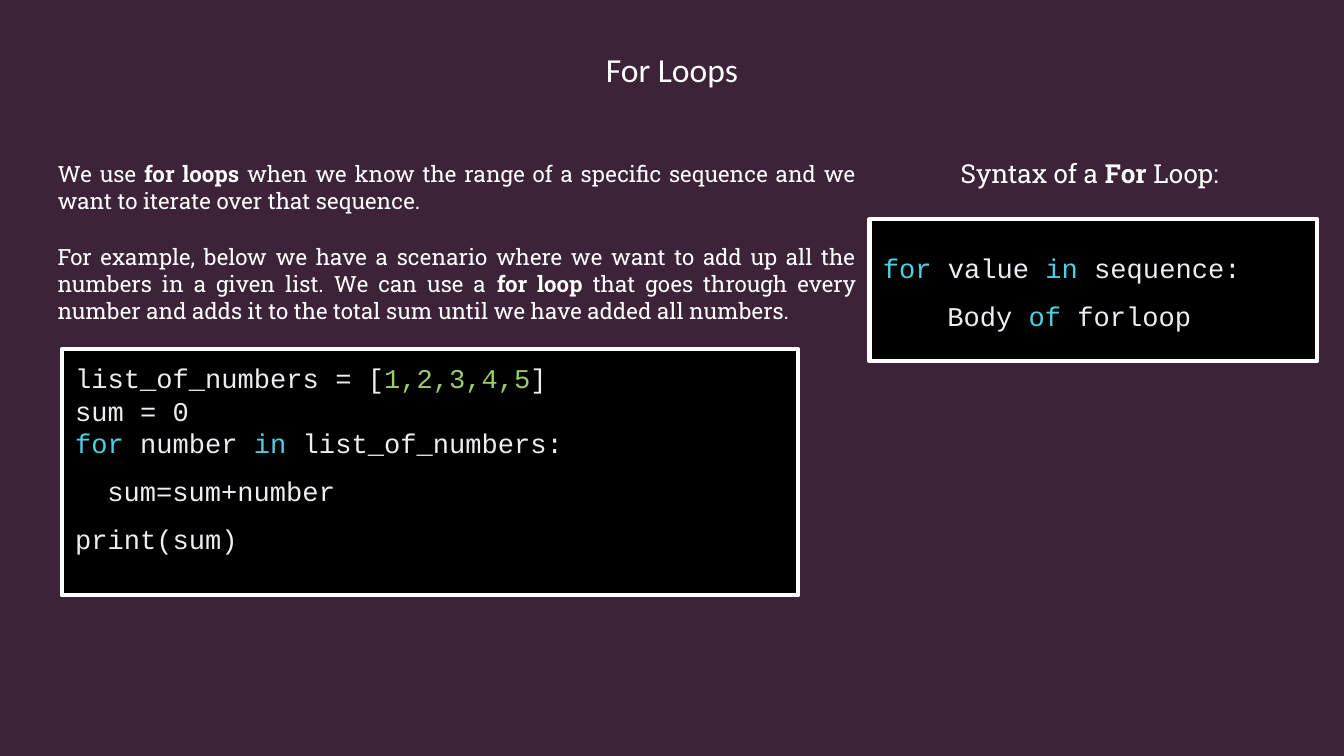
from pptx import Presentation
from pptx.util import Inches, Pt
from pptx.dml.color import RGBColor
from pptx.enum import shapes, text
from pptx.oxml import parse_xml
from pptx.oxml.ns import nsdecls

THEME = {
    "back": RGBColor.from_string("242637"),
    "tint": RGBColor.from_string("9C1B40"),
    "white": RGBColor.from_string("FFFFFF"),
    "black": RGBColor.from_string("000000"),
    "plain": RGBColor.from_string("ECEFF1"),
    "keyword": RGBColor.from_string("4DD0E1"),
    "number": RGBColor.from_string("9CCC65"),
    "title": Pt(18), "body": Pt(12), "heading": Pt(14), "code": Pt(14.5),
}
ALIGN, ANCHOR = text.PP_ALIGN, text.MSO_ANCHOR
WIDTH = 10
HEIGHT = WIDTH * 9 / 16


def add_rect(box, fill):
    sp = s.shapes.add_shape(shapes.MSO_SHAPE.RECTANGLE, *map(Inches, box))
    sp.shadow.inherit = False
    sp.fill.solid()
    sp.fill.fore_color.rgb = fill
    sp.line.fill.background()
    return sp


def write(sp, paragraphs, font, size, top=0.1, anchor=ANCHOR.TOP):
    """Each paragraph is (format, indent, runs); each run is (text, colour, bold)."""
    tf = sp.text_frame
    frame = {"word_wrap": True, "vertical_anchor": anchor, "margin_top": Inches(top),
             "margin_left": Inches(0.1), "margin_right": Inches(0.1),
             "margin_bottom": Inches(0.1)}
    for name, value in frame.items():
        setattr(tf, name, value)
    for i, (style, indent, runs) in enumerate(paragraphs):
        p = tf.add_paragraph() if i else tf.paragraphs[0]
        for name, value in style.items():
            setattr(p, name, value)
        if indent:
            p._p.get_or_add_pPr().set("marL", str(Inches(indent)))
        for words, colour, bold in runs:
            r = p.add_run()
            r.text = words
            r.font.color.rgb = THEME[colour]
            for name, value in {"name": font, "size": size, "bold": bold}.items():
                setattr(r.font, name, value)


prs = Presentation()
prs.slide_width, prs.slide_height = Inches(WIDTH), Inches(HEIGHT)
s = prs.slides.add_slide(prs.slide_layouts[6])

# Background with a translucent tint
s.background.fill.solid()
s.background.fill.fore_color.rgb = THEME["back"]
tint = add_rect((0, 0, WIDTH, HEIGHT), THEME["tint"])
tint.fill._xPr.find(".//{*}srgbClr").append(
    parse_xml(f'<a:alpha {nsdecls("a")} val="21000"/>'))

# Title, explanation and syntax heading
centre = {"alignment": ALIGN.CENTER}
left = {"alignment": ALIGN.LEFT}
justify = {"alignment": ALIGN.JUSTIFY}
explanation = [
    (justify, 0, [
        ("We use ", "white", False), ("for loops ", "white", True),
        ("when we know the range of a specific sequence and we want to iterate "
         "over that sequence.", "white", False)]),
    ({**justify, "space_before": Pt(16)}, 0, [
        ("For example, below we have a scenario where we want to add up all the "
         "numbers in a given list. We can use a ", "white", False),
        ("for loop ", "white", True),
        ("that goes through every number and adds it to the total sum until we "
         "have added all numbers.", "white", False)]),
]
heading = [(left, 0, [("Syntax of a ", "white", False), ("For ", "white", True),
                      ("Loop:", "white", False)])]
for box, paragraphs, font, size, top, anchor in [
    ((0, 0.16, WIDTH, 0.71), [(centre, 0, [("For Loops", "white", False)])],
     "Calibri", "title", 0.1, ANCHOR.MIDDLE),
    ((0.33, 0.67, 6.14, 4.68), explanation, "Roboto Slab", "body", 0.52, ANCHOR.TOP),
    ((7.05, 1.07, 2.17, 0.41), heading, "Roboto Slab", "heading", 0.1, ANCHOR.TOP),
]:
    write(s.shapes.add_textbox(*map(Inches, box)), paragraphs, font, THEME[size],
          top, anchor)

# Code panels
loose = {**left, "line_spacing": 1.47}
syntax = [
    (left, 0, [("for", "keyword", False), (" value ", "plain", False),
               ("in", "keyword", False), (" sequence:", "plain", False)]),
    (loose, 0.48, [("Body ", "plain", False), ("of", "keyword", False),
                   (" forloop", "plain", False)]),
]
example = [
    (left, 0, [("list_of_numbers = [", "plain", False),
               ("1,2,3,4,5", "number", False), ("]", "plain", False)]),
    (left, 0, [("sum = 0", "plain", False)]),
    (left, 0, [("for", "keyword", False), (" number ", "plain", False),
               ("in", "keyword", False), (" list_of_numbers:", "plain", False)]),
    (loose, 0.24, [("sum=sum+number", "plain", False)]),
    (loose, 0, [("print(sum)", "plain", False)]),
]
for box, code, top in [((6.47, 1.63, 3.33, 1.06), syntax, 0.24),
                       ((0.46, 2.6, 5.48, 1.83), example, 0.09)]:
    panel = add_rect(box, THEME["black"])
    panel.line.color.rgb = THEME["white"]
    panel.line.width = Pt(2.25)
    write(panel, code, "Courier New", THEME["code"], top)

prs.save("out.pptx")
